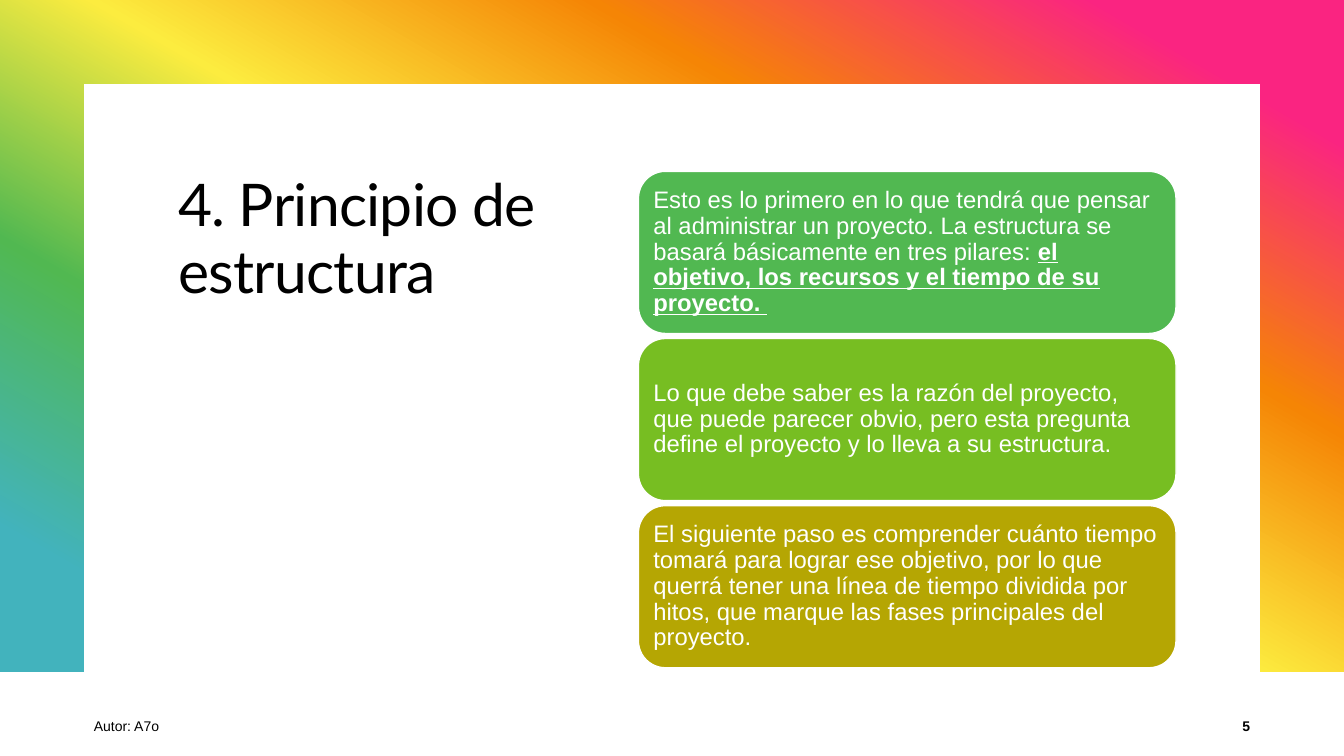
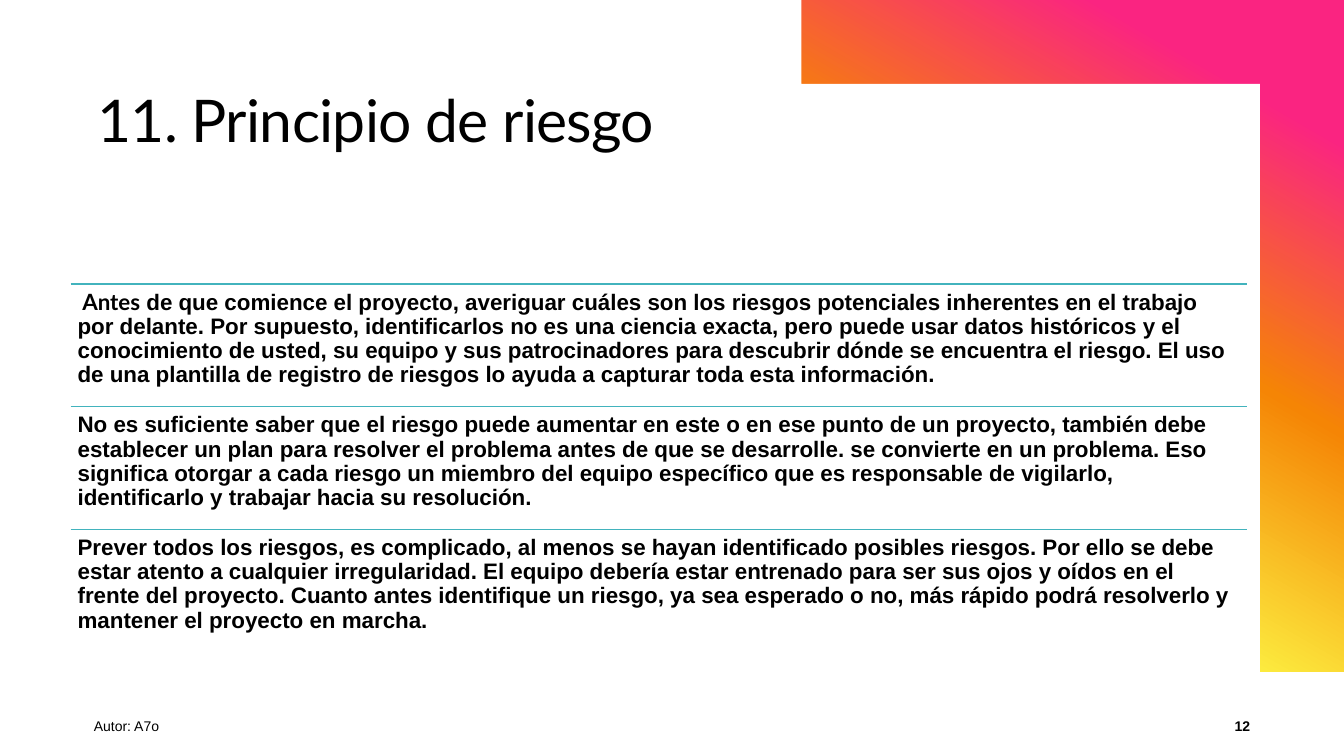
import lxml.etree
import pptx
import pptx.dml.color
import pptx.enum.shapes
import pptx.enum.text
import pptx.oxml.ns
import pptx.util

COLUMNS, ROWS = 16, 9
CELL = pptx.util.Emu(762000)
WHITE, BLACK, TEAL = "FFFFFF", "000000", "42B3BD"
RAINBOW = [(10, "FA2481"), (30, "F58505"), (50, "FCEC3F"), (70, "51B851"), (90, TEAL)]
RAINBOW_ANGLE = 240
BAND_ROWS = 8
BODY_FONT, TITLE_FONT = "Arial", "Lato"
SHAPES = pptx.enum.shapes.MSO_SHAPE
ANCHOR = pptx.enum.text.MSO_ANCHOR
ALIGN = pptx.enum.text.PP_ALIGN
CARDS = [
    ("51B851",
     "Esto es lo primero en lo que tendrá que pensar al administrar un proyecto. "
     "La estructura se basará básicamente en tres pilares: ",
     "el objetivo, los recursos y el tiempo de su proyecto. "),
    ("77BE22",
     "Lo que debe saber es la razón del proyecto, que puede parecer obvio, pero esta "
     "pregunta define el proyecto y lo lleva a su estructura.", ""),
    ("B5A603",
     "El siguiente paso es comprender cuánto tiempo tomará para lograr ese objetivo, "
     "por lo que querrá tener una línea de tiempo dividida por hitos, que marque las "
     "fases principales del proyecto.", ""),
]
RISKS = [
    (" Antes",
     " de que comience el proyecto, averiguar cuáles son los riesgos potenciales "
     "inherentes en el trabajo por delante. Por supuesto, identificarlos no es una "
     "ciencia exacta, pero puede usar datos históricos y el conocimiento de usted, su "
     "equipo y sus patrocinadores para descubrir dónde se encuentra el riesgo. El uso "
     "de una plantilla de registro de riesgos lo ayuda a capturar toda esta información."),
    ("",
     "No es suficiente saber que el riesgo puede aumentar en este o en ese punto de un "
     "proyecto, también debe establecer un plan para resolver el problema antes de que "
     "se desarrolle. se convierte en un problema. Eso significa otorgar a cada riesgo un "
     "miembro del equipo específico que es responsable de vigilarlo, identificarlo y "
     "trabajar hacia su resolución."),
    ("",
     "Prever todos los riesgos, es complicado, al menos se hayan identificado posibles "
     "riesgos. Por ello se debe estar atento a cualquier irregularidad. El equipo debería "
     "estar entrenado para ser sus ojos y oídos en el frente del proyecto. Cuanto antes "
     "identifique un riesgo, ya sea esperado o no, más rápido podrá resolverlo y mantener "
     "el proyecto en marcha."),
]


def color(value):
    return pptx.dml.color.RGBColor.from_string(value)


def grid(*cells):
    return [pptx.util.Emu(round(cell * CELL)) for cell in cells]


def paint(shape, fill):
    shape.shadow.inherit = False
    shape.fill.solid()
    shape.fill.fore_color.rgb = color(fill)
    shape.line.fill.background()


def paint_rainbow(shape):
    shape.shadow.inherit = False
    shape.line.fill.background()
    shape.fill.gradient()
    shape.fill.gradient_angle = RAINBOW_ANGLE
    qualified = pptx.oxml.ns.qn
    stops = next(shape.element.iter(qualified("a:gsLst")))
    stops.clear()
    for position, value in RAINBOW:
        stop = lxml.etree.SubElement(stops, qualified("a:gs"), pos=str(position * 1000))
        lxml.etree.SubElement(stop, qualified("a:srgbClr"), val=value)


def style_frame(frame, anchor, inset=None):
    frame.word_wrap = True
    frame.auto_size = pptx.enum.text.MSO_AUTO_SIZE.NONE
    frame.vertical_anchor = anchor
    if inset is not None:
        frame.margin_left = frame.margin_right = pptx.util.Inches(inset)
        frame.margin_top = frame.margin_bottom = pptx.util.Inches(inset)


def style_paragraph(paragraph, size, fill=BLACK, font=BODY_FONT, bold=False,
                    align=ALIGN.LEFT, spacing=1.0):
    paragraph.alignment = align
    paragraph.line_spacing = spacing
    paragraph.font.size = pptx.util.Pt(size)
    paragraph.font.name = font
    paragraph.font.bold = bold
    paragraph.font.color.rgb = color(fill)


def add_run(paragraph, text):
    run = paragraph.add_run()
    run.text = text
    return run


def add_text(slide, box, text, size, anchor, **style):
    frame = slide.shapes.add_textbox(*grid(*box)).text_frame
    style_frame(frame, anchor)
    paragraph = frame.paragraphs[0]
    add_run(paragraph, text)
    style_paragraph(paragraph, size, **style)


def set_title(slide, box, text):
    title = slide.shapes.title
    title.left, title.top, title.width, title.height = grid(*box)
    style_frame(title.text_frame, ANCHOR.TOP)
    paragraph = title.text_frame.paragraphs[0]
    run = add_run(paragraph, text)
    run.font._element.set("spc", "-50") if hasattr(run.font, "_element") else \
        run._r.get_or_add_rPr().set("spc", "-50")
    style_paragraph(paragraph, 42, font=TITLE_FONT, spacing=0.95)


def add_panel(slide, points):
    corners = [grid(*point) for point in points]
    builder = slide.shapes.build_freeform(*corners[0], scale=1.0)
    builder.add_line_segments(corners[1:], close=True)
    paint(builder.convert_to_shape(), WHITE)


def add_slide(presentation, title, title_box, panel, number):
    slide = presentation.slides.add_slide(presentation.slide_layouts[5])
    band = slide.shapes.add_shape(SHAPES.RECTANGLE, *grid(0, 0, COLUMNS, BAND_ROWS))
    paint_rainbow(band)
    add_panel(slide, panel)
    set_title(slide, title_box, title)
    slide.shapes._spTree.append(slide.shapes.title.element)
    add_text(slide, (14.3, 8.4, 0.7, 0.48), number, 10, ANCHOR.MIDDLE,
             bold=True, align=ALIGN.RIGHT)
    add_text(slide, (1, 8.4, 8, 0.48), "Autor: A7o", 10, ANCHOR.MIDDLE)
    return slide


def add_card(slide, row, fill, text, emphasis):
    box = grid(7.6, 2.04 + 1.99 * row, 6.4, 1.93)
    card = slide.shapes.add_shape(SHAPES.ROUNDED_RECTANGLE, *box)
    paint(card, fill)
    card.line.color.rgb = color(WHITE)
    card.line.width = pptx.util.Pt(1)
    style_frame(card.text_frame, ANCHOR.MIDDLE, 0.07)
    paragraph = card.text_frame.paragraphs[0]
    style_paragraph(paragraph, 17, fill=WHITE, spacing=0.9)
    add_run(paragraph, text)
    if emphasis:
        font = add_run(paragraph, emphasis).font
        font.bold = font.underline = True


def add_risk(slide, row, lead, text):
    left, width, height = 0.84, 14, 1.46
    top = 3.38 + height * row
    rule = slide.shapes.add_connector(pptx.enum.shapes.MSO_CONNECTOR.STRAIGHT,
                                      *grid(left, top, left + width, top))
    rule.line.color.rgb = color(TEAL)
    rule.line.width = pptx.util.Pt(1)
    lxml.etree.SubElement(rule.element.spPr, pptx.oxml.ns.qn("a:effectLst"))
    frame = slide.shapes.add_textbox(*grid(left, top, width, height)).text_frame
    style_frame(frame, ANCHOR.TOP, 0.07)
    paragraph = frame.paragraphs[0]
    style_paragraph(paragraph, 16, bold=True, spacing=0.9)
    if lead:
        add_run(paragraph, lead).font.name = TITLE_FONT
    add_run(paragraph, text)


def main():
    presentation = pptx.Presentation()
    presentation.slide_width, presentation.slide_height = grid(COLUMNS, ROWS)

    framed_panel = [(1, 1), (15, 1), (15, 8.16), (1, 8.16)]
    structure = add_slide(presentation, "4. Principio de estructura",
                          (2, 2, 5, 6), framed_panel, "5")
    for row, card in enumerate(CARDS):
        add_card(structure, row, *card)

    stepped_panel = [(0, 0), (9.54, 0), (9.54, 1), (15, 1), (15, 8.02), (0, 8.02)]
    risk = add_slide(presentation, "11. Principio de riesgo",
                     (1.04, 1, 14, 1.76), stepped_panel, "12")
    for row, paragraph in enumerate(RISKS):
        add_risk(risk, row, *paragraph)

    presentation.save("out.pptx")


if __name__ == "__main__":
    main()
